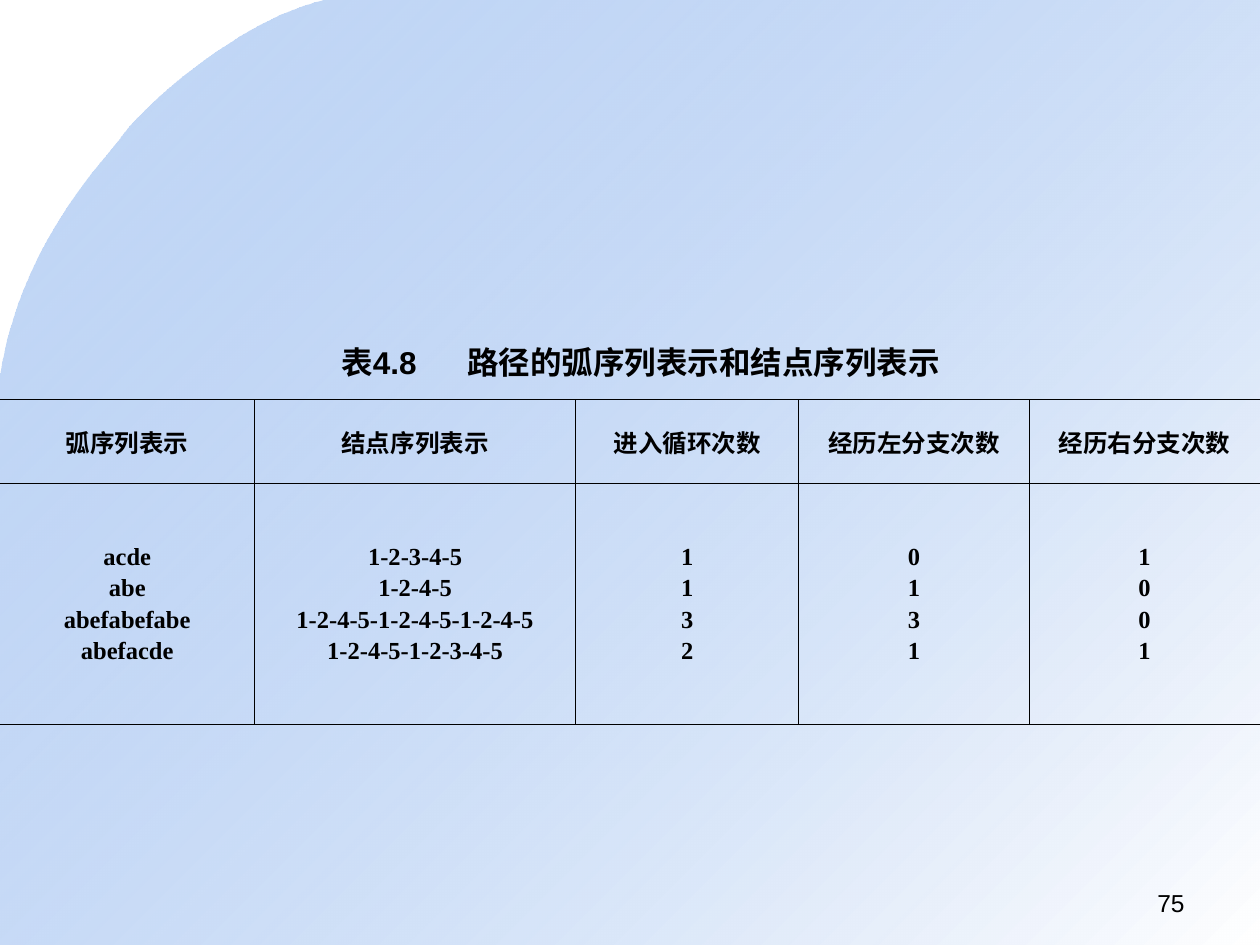
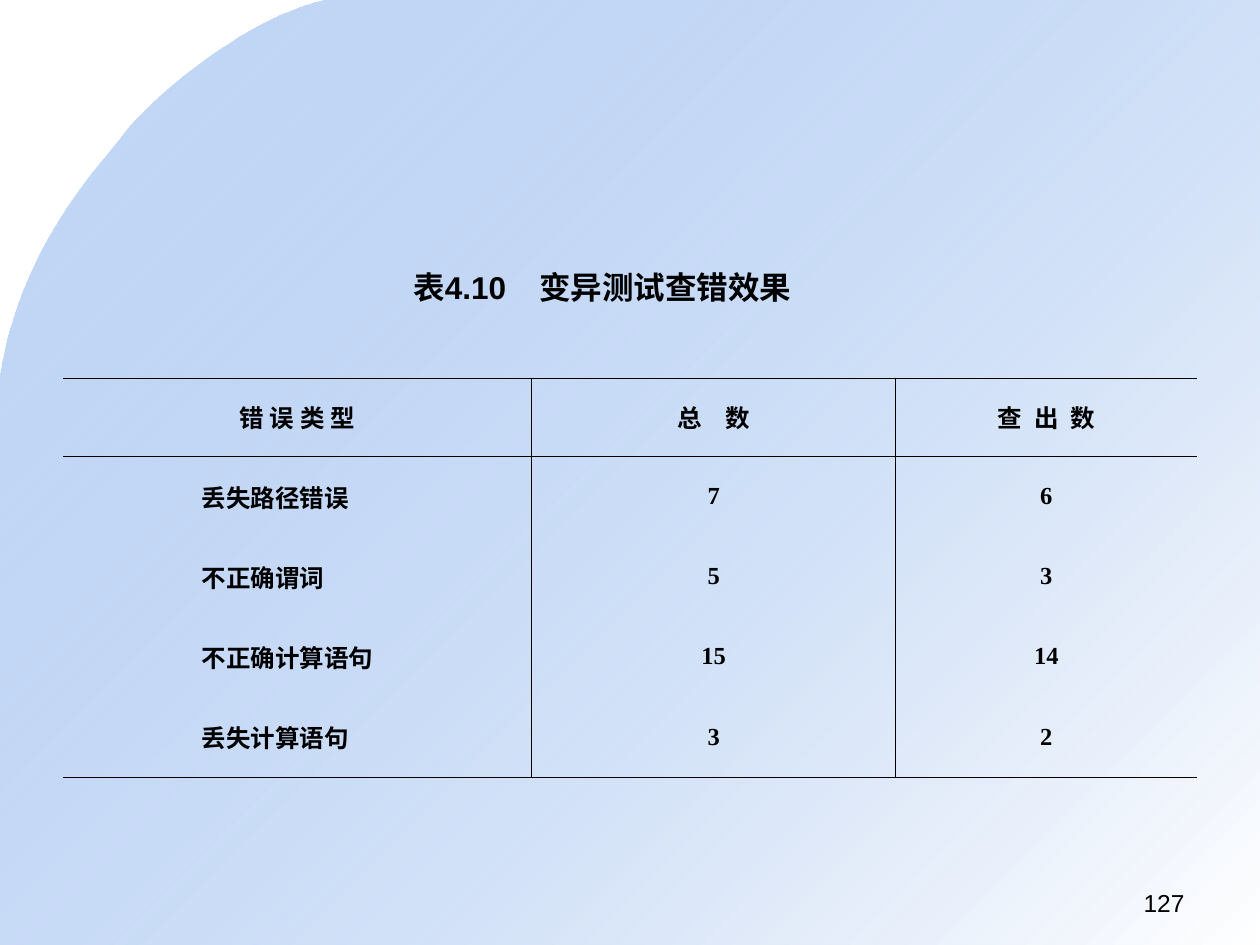
import pptx
import pptx.dml.color
import pptx.enum.text
import pptx.oxml
import pptx.oxml.ns
import pptx.util
from pptx.util import Inches

BLACK = pptx.dml.color.RGBColor(0x00, 0x00, 0x00)
WHITE = pptx.dml.color.RGBColor(0xFF, 0xFF, 0xFF)
BLUE = pptx.dml.color.RGBColor(0x69, 0x9D, 0xE9)
BLUE_OPACITY = 39
HEADING_FONT = "Arial"
TABLE_FONT = "Times New Roman"
NO_STYLE = "{2D5ABB26-0587-4C30-8999-92F81FD0307C}"
BORDER_WIDTH = pptx.util.Pt(0.45)
ALIGN = pptx.enum.text.PP_ALIGN

CURVE_START = (2.58, 0)
CURVES = [
    ((1.9, 0.16), (1.16, 0.83), (0.98, 1.07)),
    ((0.8, 1.32), (0.16, 1.94), (0, 3.01)),
]
CORNERS = [(0, 7.5), (10, 7.5), (10, 0)]
CURVE_STEPS = 24

LETTER_SPACING = {"总 数": 5.25, "查 出 数": 1.75}

SLIDES = [
    {
        "caption": ("表4.8 ", "路径的弧序列表示和结点序列表示"),
        "caption_box": (2.61, 2.67, 4.95, 0.4),
        "number": "75",
        "table_at": (0, 3.17),
        "columns": [2.02, 2.55, 1.77, 1.83, 1.83],
        "heights": [0.67, 1.91],
        "first_column_indented": False,
        "rows": [
            ["弧序列表示", "结点序列表示", "进入循环次数", "经历左分支次数", "经历右分支次数"],
            [
                "acde\nabe\nabefabefabe\nabefacde",
                "1-2-3-4-5\n1-2-4-5\n1-2-4-5-1-2-4-5-1-2-4-5\n1-2-4-5-1-2-3-4-5",
                "1\n1\n3\n2",
                "0\n1\n3\n1",
                "1\n0\n0\n1",
            ],
        ],
    },
    {
        "caption": ("表4.10 ", "变异测试查错效果"),
        "caption_box": (3.18, 2.08, 3.2, 0.4),
        "number": "127",
        "table_at": (0.5, 3),
        "columns": [3.72, 2.89, 2.39],
        "heights": [0.62, 0.64, 0.63, 0.64, 0.64],
        "first_column_indented": True,
        "rows": [
            ["错 误 类 型", "总 数", "查 出 数"],
            ["丢失路径错误", "7", "6"],
            ["不正确谓词", "5", "3"],
            ["不正确计算语句", "15", "14"],
            ["丢失计算语句", "3", "2"],
        ],
    },
]


def add_element(parent, tag, **attributes):
    element = pptx.oxml.parse_xml(f"<{tag} {pptx.oxml.ns.nsdecls('a')}/>")
    for name, value in attributes.items():
        element.set(name, str(value))
    parent.append(element)
    return element


def format_runs(paragraph, name, size, bold):
    for run in paragraph.runs:
        run.font.name = name
        run.font.size = pptx.util.Pt(size)
        run.font.bold = bold
        run.font.color.rgb = BLACK


def curve_points():
    start, points = CURVE_START, []
    for first, second, end in CURVES:
        for step in range(1, CURVE_STEPS + 1):
            t = step / CURVE_STEPS
            weights = ((1 - t) ** 3, 3 * t * (1 - t) ** 2, 3 * t * t * (1 - t), t ** 3)
            controls = (start, first, second, end)
            points.append(tuple(
                sum(weight * control[axis] for weight, control in zip(weights, controls))
                for axis in (0, 1)
            ))
        start = end
    return points


def add_backdrop(layout, slide):
    builder = slide.shapes.build_freeform(*map(Inches, CURVE_START))
    builder.add_line_segments(
        [(Inches(x), Inches(y)) for x, y in curve_points() + CORNERS], close=True)
    backdrop = builder.convert_to_shape()
    backdrop.shadow.inherit = False
    backdrop.line.fill.background()
    backdrop.fill.gradient()
    backdrop.fill.gradient_angle = 315
    for stop, color, position in zip(backdrop.fill.gradient_stops, (BLUE, WHITE), (0, 1)):
        stop.color.rgb = color
        stop.position = position
    blue = backdrop.element.xpath(".//a:gs/a:srgbClr")[0]
    add_element(blue, "a:alpha", val=BLUE_OPACITY * 1000)
    backdrop.element.xpath(".//p:cNvPr")[0].set("id", "20")
    for placeholder in list(layout.placeholders)[1:]:
        layout.shapes.element.remove(placeholder.element)
    layout.shapes.element.insert(2, backdrop.element)


def add_caption(slide, content):
    title = slide.shapes.title
    title.left, title.top, title.width, title.height = map(Inches, content["caption_box"])
    frame = title.text_frame
    frame.text = "\t".join(content["caption"])
    frame.word_wrap = False
    frame.margin_right = 0
    frame.auto_size = pptx.enum.text.MSO_AUTO_SIZE.SHAPE_TO_FIT_TEXT
    frame.vertical_anchor = pptx.enum.text.MSO_ANCHOR.TOP
    paragraph = frame.paragraphs[0]
    paragraph.alignment = ALIGN.LEFT
    tabs = add_element(paragraph._p.get_or_add_pPr(), "a:tabLst")
    add_element(tabs, "a:tab", pos=Inches(1), algn="l")
    format_runs(paragraph, HEADING_FONT, 18, True)
    slide.shapes.element.append(title.element)


def add_number(slide, number):
    box = slide.shapes.add_textbox(Inches(7.17), Inches(7), Inches(2.33), Inches(0.35))
    box.text_frame.word_wrap = True
    box.text_frame.text = number
    paragraph = box.text_frame.paragraphs[0]
    paragraph.alignment = ALIGN.RIGHT
    format_runs(paragraph, HEADING_FONT, 14, False)


def add_borders(cell, drawn):
    properties = cell._tc.get_or_add_tcPr()
    for side, shown in drawn.items():
        line = add_element(properties, f"a:ln{side}", w=BORDER_WIDTH)
        fill = add_element(line, "a:solidFill" if shown else "a:noFill")
        if shown:
            add_element(fill, "a:srgbClr", val=BLACK)


def fill_cell(cell, value, indented):
    cell.text = value
    cell.vertical_anchor = pptx.enum.text.MSO_ANCHOR.MIDDLE
    cell.margin_left = cell.margin_right = Inches(0.08)
    for index, paragraph in enumerate(cell.text_frame.paragraphs):
        paragraph.alignment = ALIGN.JUSTIFY if indented else ALIGN.CENTER
        paragraph.space_before = pptx.util.Pt(1.2 if index else 0)
        paragraph.space_after = pptx.util.Pt(1.2)
        if indented:
            properties = paragraph._p.get_or_add_pPr()
            properties.set("marL", str(Inches(0.73)))
            properties.set("indent", str(Inches(0.29)))
        format_runs(paragraph, TABLE_FONT, 14, True)
        if value in LETTER_SPACING:
            spacing = round(LETTER_SPACING[value] * 100)
            paragraph.runs[0].font._element.set("spc", str(spacing))


def add_grid(slide, content):
    rows, columns, heights = content["rows"], content["columns"], content["heights"]
    left, top = content["table_at"]
    table = slide.shapes.add_table(
        len(rows), len(columns), Inches(left), Inches(top),
        Inches(sum(columns)), Inches(sum(heights))).table
    table.first_row = table.horz_banding = False
    table._tbl.tblPr.xpath("a:tableStyleId")[0].text = NO_STYLE
    for column, width in zip(table.columns, columns):
        column.width = Inches(width)
    for row, height in zip(table.rows, heights):
        row.height = Inches(height)
    last_row, last_column = len(rows) - 1, len(columns) - 1
    for r, row in enumerate(rows):
        for c, value in enumerate(row):
            cell = table.cell(r, c)
            fill_cell(cell, value, content["first_column_indented"] and r > 0 and c == 0)
            add_borders(cell, {
                "L": c > 0, "R": c < last_column, "T": r <= 1, "B": r in (0, last_row)})
            cell.fill.background()


def main():
    presentation = pptx.Presentation()
    presentation.slide_width, presentation.slide_height = Inches(10), Inches(7.5)
    layout = presentation.slide_layouts[5]
    for index, content in enumerate(SLIDES):
        slide = presentation.slides.add_slide(layout)
        if index == 0:
            add_backdrop(layout, slide)
        add_grid(slide, content)
        add_caption(slide, content)
        add_number(slide, content["number"])
    presentation.save("out.pptx")


if __name__ == "__main__":
    main()
